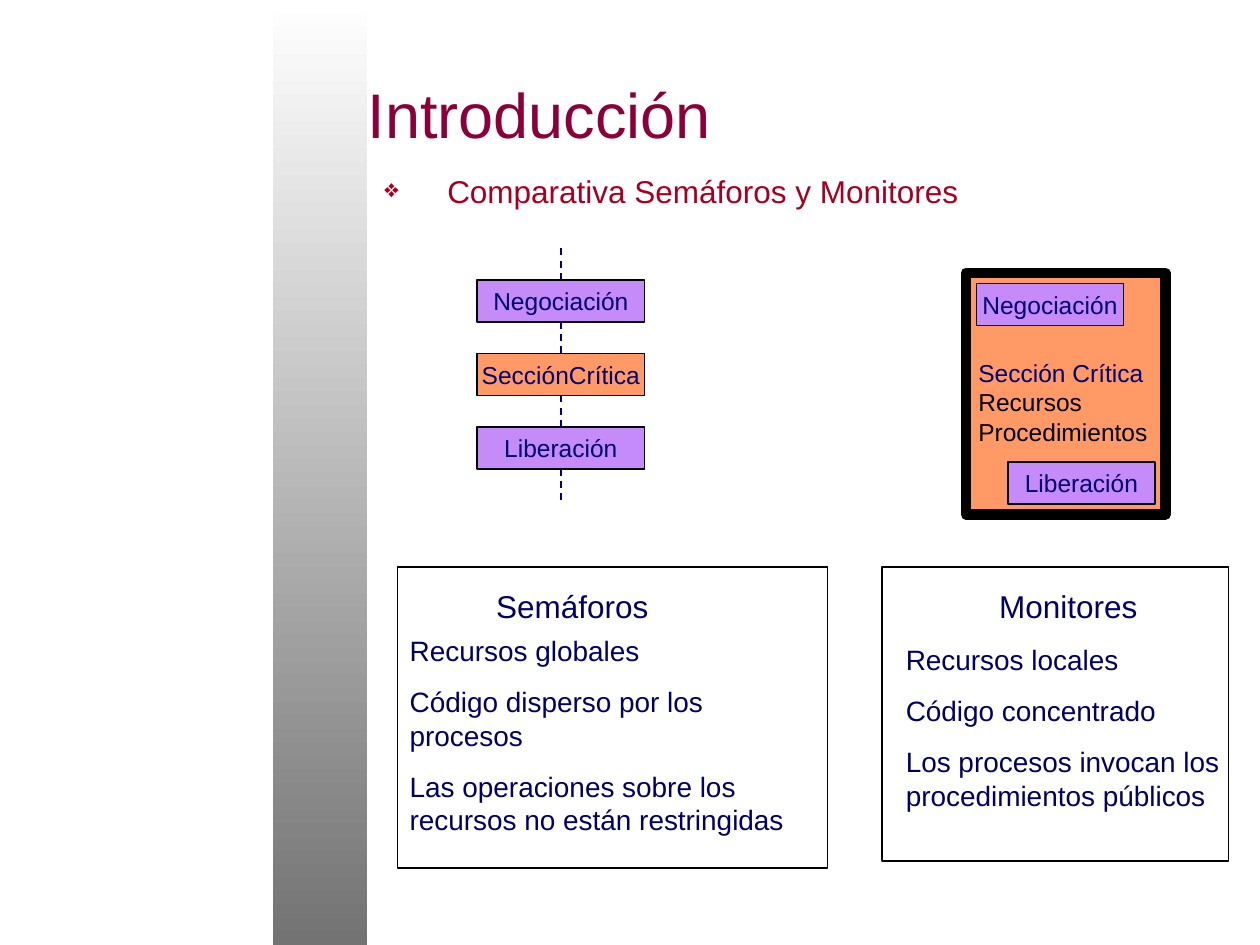
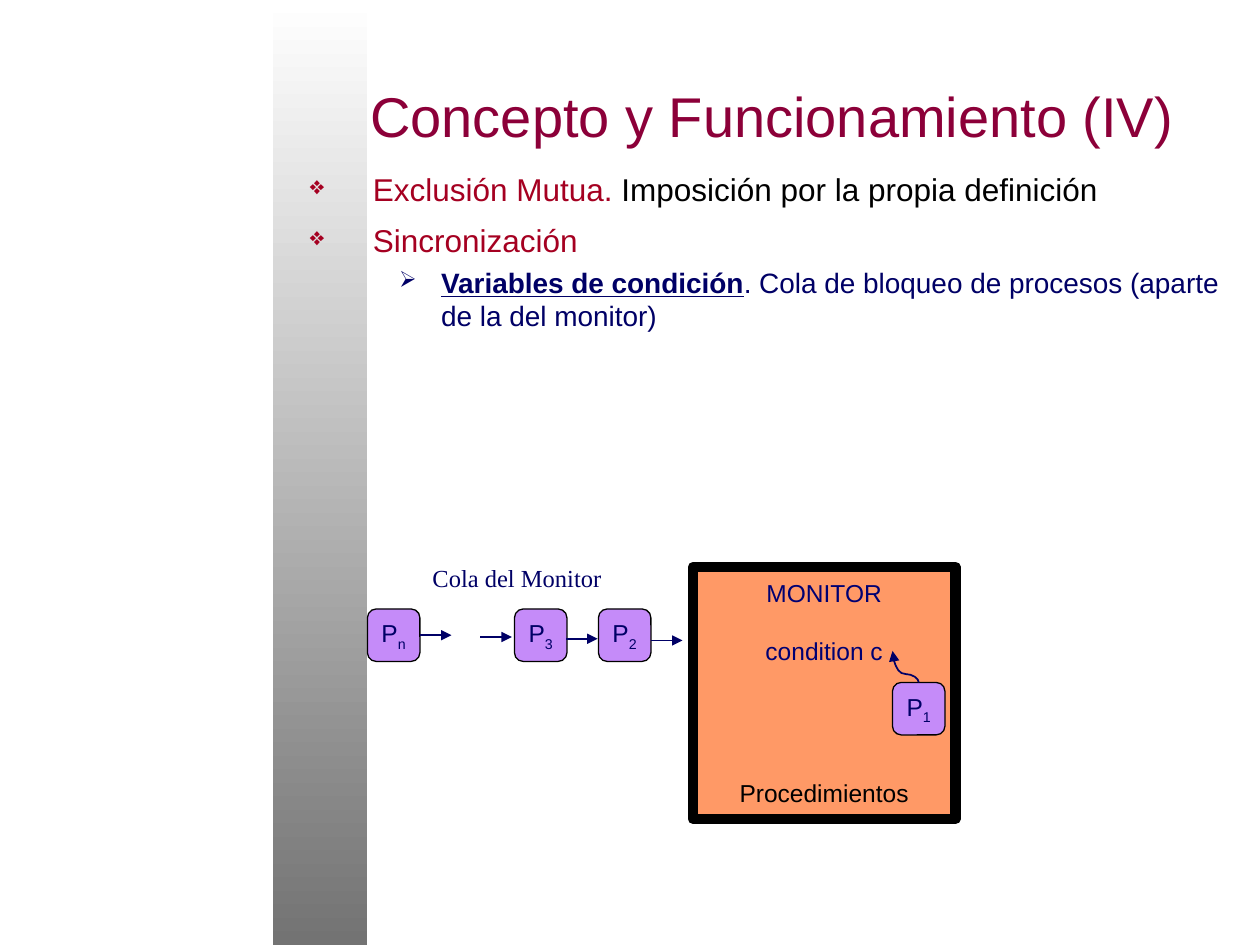
import pptx
import pptx.dml.color
import pptx.enum.dml
import pptx.enum.shapes
import pptx.enum.text
import pptx.oxml.ns
import pptx.util
from dataclasses import dataclass
from lxml import etree

Pt = pptx.util.Pt
SHAPE = pptx.enum.shapes.MSO_SHAPE
CONNECTOR = pptx.enum.shapes.MSO_CONNECTOR
ALIGN = pptx.enum.text.PP_ALIGN
ANCHOR = pptx.enum.text.MSO_ANCHOR
qn = pptx.oxml.ns.qn


@dataclass(frozen=True)
class Theme:
    font: str = "Arial"
    serif: str = "Times New Roman"
    title: str = "8C0039"
    accent: str = "A50021"
    navy: str = "000066"
    label: str = "000072"
    black: str = "000000"
    violet: str = "C58BF9"
    orange: str = "FF9966"
    band: tuple = ("737373", "FFFFFF")
    heading_size: int = 18
    body_size: int = 16
    label_size: int = 14
    label_line: float = 16.1  # height of one line of label text
    thin: float = 0.75
    thick: float = 6
    wire: float = 1


T = Theme()

# Content: slide 1
INTRO_TITLE = ("Introducción", 36, 203, 16.5)
COMPARISON = "Comparativa Semáforos y Monitores"
SEMAPHORE_STEPS = [
    ("Negociación", T.violet),
    ("SecciónCrítica", T.orange),
    ("Liberación", T.violet),
]
MONITOR_LINES = [
    ("Sección Crítica", T.label),
    ("Recursos", T.black),
    ("Procedimientos", T.black),
]
MONITOR_GATES = [("Negociación", 558, 162), ("Liberación", 576, 264)]
# heading, heading left, frame box, text box, points
PANELS = [
    ("Semáforos", 255, (227, 324, 246, 172), (227, 358.5, 245.5, 123),
     ["Recursos globales", "Código disperso por los procesos",
      "Las operaciones sobre los recursos no están restringidas"]),
    ("Monitores", 538.5, (504, 324, 198, 168), (510.5, 363.5, 198, 104),
     ["Recursos locales", "Código concentrado",
      "Los procesos invocan los procedimientos públicos"]),
]

# Content: slide 2
CONCEPT_TITLE = ("Concepto y Funcionamiento (IV)", 32, 204.5, 17.5)
EXCLUSION = [("Exclusión Mutua. ", T.accent),
             ("Imposición por la propia definición", T.black)]
SYNC = "Sincronización"
CONDITION = ("Variables de condición",
             ". Cola de bloqueo de procesos (aparte de la del monitor)")
QUEUE_LABEL = "Cola del Monitor"
QUEUE = [("n", 210), ("3", 294), ("2", 342)]
QUEUE_ARROWS = [(240, 363), (274.5, 364), (323.5, 365), (372, 366)]
# text, colour, blank lines above
MONITOR_PARTS = [("MONITOR", T.label, 0), ("condition c", T.label, 1),
                 ("Procedimientos", T.black, 4)]


def rgb(value):
    return pptx.dml.color.RGBColor.from_string(value)


def points(*values):
    return [Pt(v) for v in values]


def add_run(p, text, size, color, font=T.font):
    r = p.add_run()
    r.text = text
    r.font.size = Pt(size)
    r.font.name = font
    r.font.color.rgb = rgb(color)
    return r


def add_paragraph(tf, before=0, align=None):
    """Use the empty first paragraph, then append; only later ones get space."""
    p = tf.paragraphs[0]
    if p.runs:
        p = tf.add_paragraph()
        p.space_before = Pt(before)
    p.alignment = align
    return p


def add_bullet(p, char, color, left, hanging):
    pPr = p._p.get_or_add_pPr()
    pPr.set("marL", str(Pt(left)))
    pPr.set("indent", str(-Pt(hanging)))
    clr = etree.SubElement(pPr, qn("a:buClr"))
    etree.SubElement(clr, qn("a:srgbClr"), val=color)
    etree.SubElement(pPr, qn("a:buSzPct"), val="80000")
    etree.SubElement(pPr, qn("a:buChar"), char=char)


def add_text(s, box, anchor=ANCHOR.TOP):
    tf = s.shapes.add_textbox(*points(*box)).text_frame
    tf.word_wrap = True
    tf.vertical_anchor = anchor
    return tf


def add_box(s, box, fill=None, line=T.thin, kind=SHAPE.RECTANGLE):
    sp = s.shapes.add_shape(kind, *points(*box))
    sp.shadow.inherit = False
    if fill:
        sp.fill.solid()
        sp.fill.fore_color.rgb = rgb(fill)
    else:
        sp.fill.background()
    sp.line.color.rgb = rgb(T.black)
    sp.line.width = Pt(line)
    tf = sp.text_frame
    tf.word_wrap = False
    tf.vertical_anchor = ANCHOR.MIDDLE
    return sp


def add_label_box(s, text, box, fill):
    sp = add_box(s, box, fill)
    p = add_paragraph(sp.text_frame, align=ALIGN.CENTER)
    add_run(p, text, T.label_size, T.label)
    return sp


def add_process(s, index, left, top):
    sp = add_box(s, (left, top, 30, 30), T.violet, kind=SHAPE.ROUNDED_RECTANGLE)
    p = add_paragraph(sp.text_frame, align=ALIGN.CENTER)
    add_run(p, "P", T.label_size, T.navy)
    r = add_run(p, index, T.label_size, T.navy)
    r.font._element.set("baseline", "-25000")
    return sp


def add_wire(s, x1, y1, x2, y2, color, kind=CONNECTOR.STRAIGHT, arrow=False):
    c = s.shapes.add_connector(kind, *points(x1, y1, x2, y2))
    c.line.color.rgb = rgb(color)
    c.line.width = Pt(T.wire)
    if arrow:
        etree.SubElement(c.line._get_or_add_ln(), qn("a:tailEnd"), type="triangle")
    etree.SubElement(c._element.spPr, qn("a:effectLst"))
    return c


def add_slide(prs, title, size, left, top):
    """Blank slide with the shared gradient band and title."""
    s = prs.slides.add_slide(prs.slide_layouts[6])
    band = s.shapes.add_shape(SHAPE.RECTANGLE, *points(156, 0, 54, 540))
    band.shadow.inherit = False
    band.line.fill.background()
    band.fill.gradient()
    band.fill.gradient_angle = 90
    for stop, color, place in zip(band.fill.gradient_stops, T.band, (0, 1)):
        stop.color.rgb = rgb(color)
        stop.position = place
    tf = add_text(s, (left, top, 504, 96), ANCHOR.MIDDLE)
    add_run(add_paragraph(tf), title, size, T.title)
    return s


def add_topic(s, box, runs):
    tf = add_text(s, box)
    p = add_paragraph(tf)
    add_bullet(p, "❖", T.accent, 36, 36)
    for text, color in runs:
        add_run(p, text, T.heading_size, color)
    return tf


def build_intro(prs):
    s = add_slide(prs, *INTRO_TITLE)
    add_topic(s, (212.5, 95, 380, 36), [(COMPARISON, T.accent)])

    # Semaphore steps, joined by dashed lines
    left, top, width, height, gap = 272.5, 160, 96, 24, 18
    steps = [add_label_box(s, text, (left, top + i * (height + gap), width, height), fill)
             for i, (text, fill) in enumerate(SEMAPHORE_STEPS)]
    x = left + width / 2
    for i in range(len(steps) + 1):
        y = top - gap + i * (height + gap)
        c = add_wire(s, x, y, x, y + gap, T.label)
        c.line.dash_style = pptx.enum.dml.MSO_LINE.DASH
        if i > 0:
            c.begin_connect(steps[i - 1], 2)
        if i < len(steps):
            c.end_connect(steps[i], 0)

    # Monitor with its entry and exit
    tf = add_box(s, (552, 156, 114, 138), T.orange, T.thick).text_frame
    tf.margin_top = Pt(12.8)
    for text, color in MONITOR_LINES:
        add_run(add_paragraph(tf, align=ALIGN.LEFT), text, T.label_size, color)
    for text, gate_left, gate_top in MONITOR_GATES:
        add_label_box(s, text, (gate_left, gate_top, 84, 24), T.violet)

    # Comparison panels
    for heading, heading_left, frame, body, lines in PANELS:
        add_box(s, frame)
        tf = add_text(s, (heading_left, 332, 144, 50))
        add_run(add_paragraph(tf, align=ALIGN.CENTER), heading, T.heading_size, T.navy)
        tf = add_text(s, body)
        for text in lines:
            add_run(add_paragraph(tf, 10), text, T.body_size, T.navy)


def build_concept(prs):
    s = add_slide(prs, *CONCEPT_TITLE)
    add_topic(s, (170, 93.5, 540, 34), EXCLUSION)
    tf = add_topic(s, (170, 122.5, 540, 76), [(SYNC, T.accent)])
    p = add_paragraph(tf, 4)
    p.level = 1
    add_bullet(p, "➢", T.navy, 75, 24)
    term, explanation = CONDITION
    r = add_run(p, term, T.body_size, T.navy)
    r.font.bold = r.font.underline = True
    add_run(p, explanation, T.body_size, T.navy)

    # Queue of waiting processes
    tf = add_text(s, (240, 318, 120, 24.5))
    add_run(add_paragraph(tf), QUEUE_LABEL, T.label_size, T.navy, T.serif)
    processes = [add_process(s, index, left, 348) for index, left in QUEUE]
    arrows = [add_wire(s, x, y, x + 18, y, T.navy, arrow=True) for x, y in QUEUE_ARROWS]
    arrows[0].begin_connect(processes[0], 3)

    # Monitor
    tf = add_box(s, (396, 324, 150, 144), T.orange, T.thick).text_frame
    for text, color, blank_lines in MONITOR_PARTS:
        p = add_paragraph(tf, blank_lines * T.label_line, ALIGN.CENTER)
        add_run(p, text, T.label_size, color)

    # Process blocked on the condition: a curve turned to run upwards
    add_process(s, "1", 510, 390)
    c = add_wire(s, 508.5, 388.5, 526.5, 373.5, T.navy, CONNECTOR.CURVE, arrow=True)
    c._element.spPr.find(qn("a:xfrm")).set("rot", "16200000")
    geom = c._element.spPr.find(qn("a:prstGeom"))
    guides = geom.find(qn("a:avLst"))
    if guides is None:
        guides = etree.SubElement(geom, qn("a:avLst"))
    etree.SubElement(guides, qn("a:gd"), name="adj1", fmla="val 26700")


def main():
    prs = pptx.Presentation()
    prs.slide_width, prs.slide_height = points(720, 540)
    build_intro(prs)
    build_concept(prs)
    prs.save("out.pptx")


if __name__ == "__main__":
    main()
